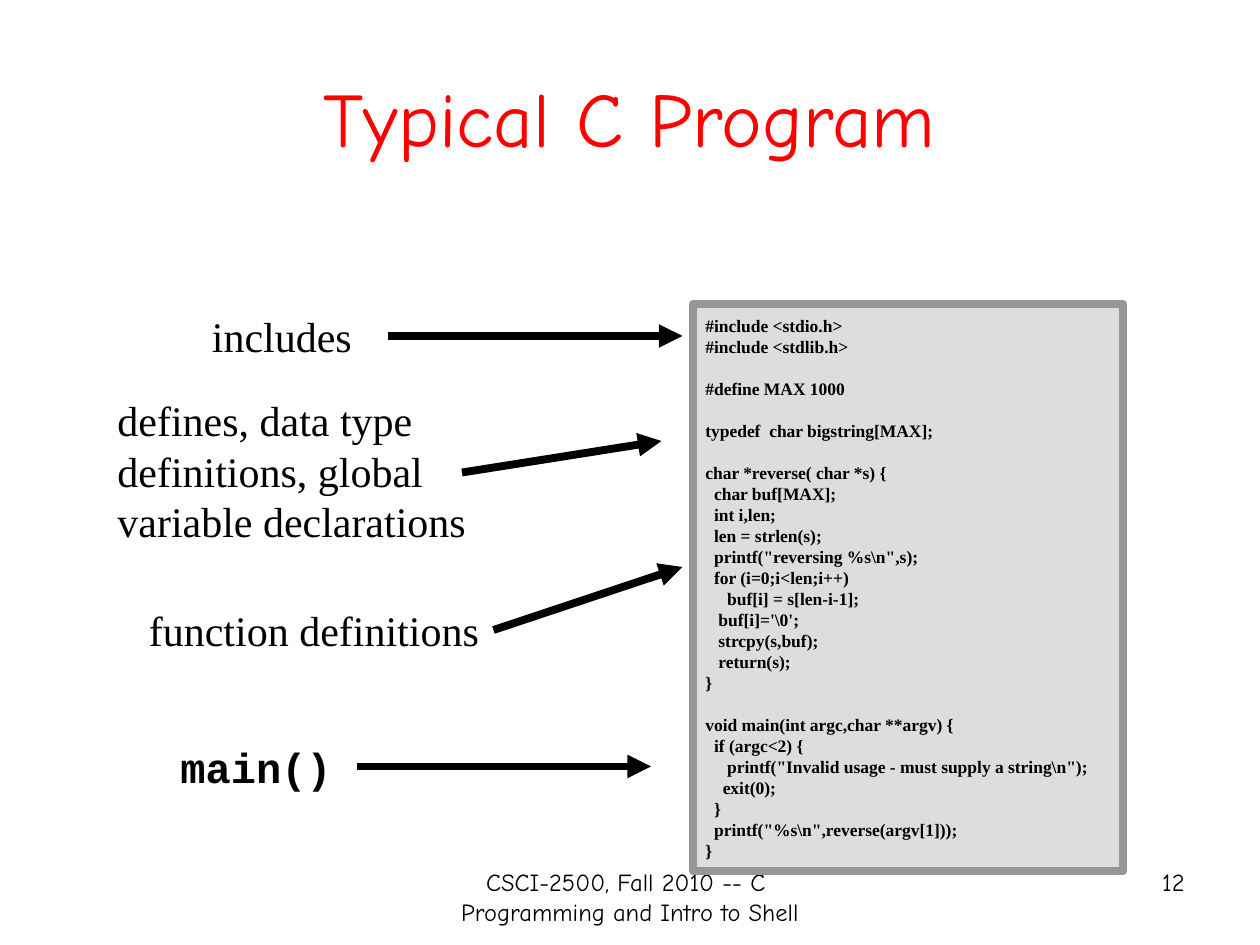
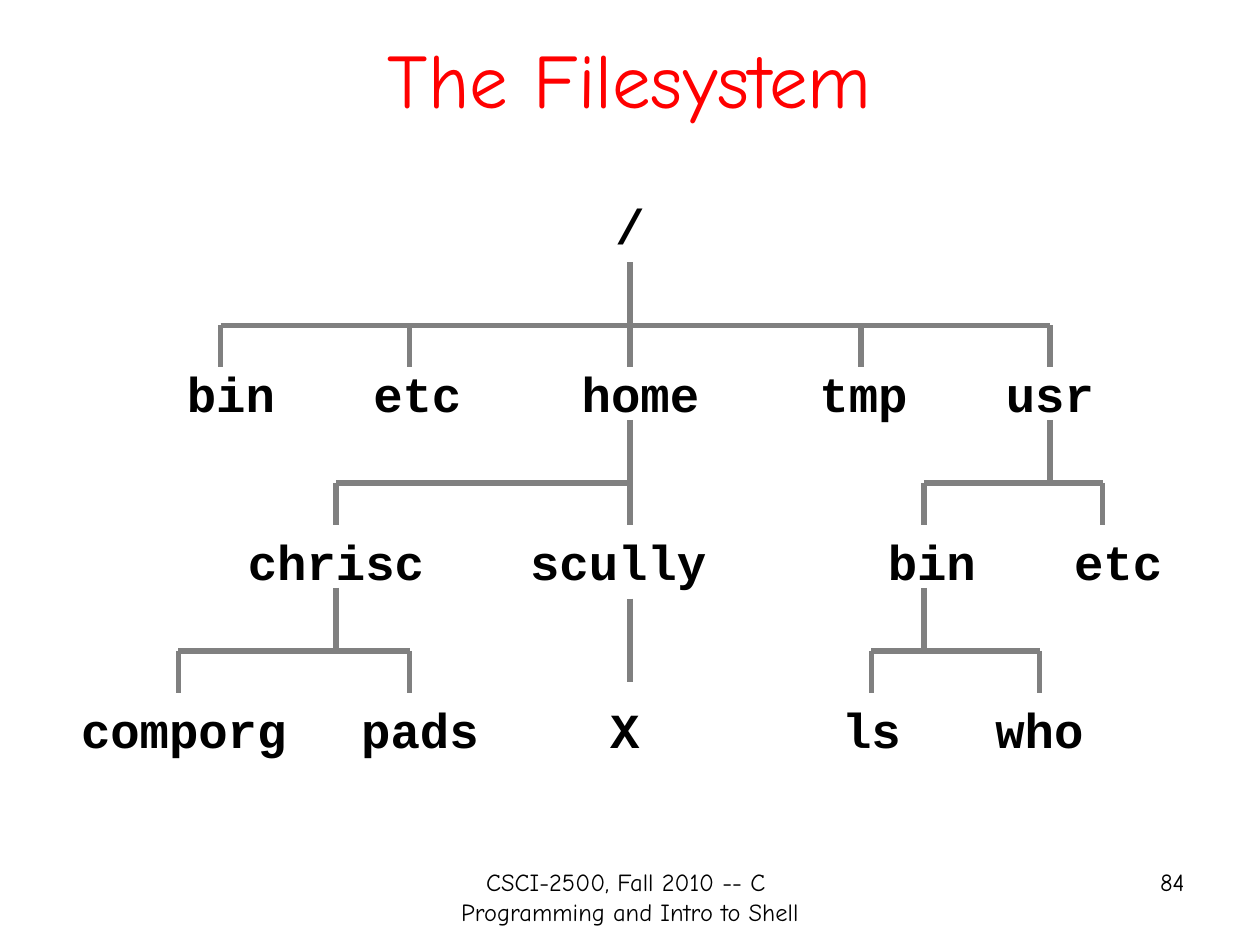
from dataclasses import dataclass

from lxml import etree
from pptx import Presentation
from pptx.dml.color import RGBColor
from pptx.enum.shapes import MSO_CONNECTOR, MSO_SHAPE
from pptx.enum.text import MSO_ANCHOR, MSO_AUTO_SIZE, PP_ALIGN
from pptx.oxml.ns import qn
from pptx.util import Inches, Pt

LEFT, CENTER, RIGHT = PP_ALIGN.LEFT, PP_ALIGN.CENTER, PP_ALIGN.RIGHT
TOP, MIDDLE = MSO_ANCHOR.TOP, MSO_ANCHOR.MIDDLE
GROW = MSO_AUTO_SIZE.SHAPE_TO_FIT_TEXT
STRAIGHT, RECTANGLE = MSO_CONNECTOR.STRAIGHT, MSO_SHAPE.RECTANGLE

# All places are (left, top, width, height) or (x, y) on a grid of 12 cells per inch.
CELLS_PER_INCH = 12
SLIDE_SIZE = (120, 90)

FOOTER = "CSCI-2500, Fall 2010 -- C  Programming and Intro to Shell"
FOOTER_AREA = (41, 82, 38, 6.25)
NUMBER_AREA = (86, 82, 28, 6.25)

PROGRAM = {"title": "Typical C Program", "title_area": (6, 3.6, 108, 15), "number": "12"}
CODE_AREA = (66, 29, 41, 54)
CODE = r"""#include <stdio.h>
#include <stdlib.h>

#define MAX 1000

typedef  char bigstring[MAX];

char *reverse( char *s) {
  char buf[MAX];
  int i,len;
  len = strlen(s);
  printf("reversing %s\n",s);
  for (i=0;i<len;i++)
     buf[i] = s[len-i-1];
   buf[i]='\0';
   strcpy(s,buf);
   return(s);
}

void main(int argc,char **argv) {
  if (argc<2) {
     printf("Invalid usage - must supply a string\n");
    exit(0);
  }
  printf("%s\n",reverse(argv[1]));
}"""
# text, style, label area, arrow start, arrow end
PROGRAM_PARTS = [
    ("includes", "label", (19, 29, 32, 6), (37, 32), (65, 32)),
    ("defines, data type definitions, global variable declarations", "label",
     (10, 37, 39, 15.6), (44, 45), (63, 42)),
    ("function definitions", "label", (13, 57, 34, 6), (47, 60), (65, 54)),
    ("main()", "main", (16, 70, 32, 6), (34, 73), (62, 73)),
]

FILESYSTEM = {"title": "The Filesystem", "title_area": (9, 3.7, 102, 7.5), "number": "84"}
# name, column of its line, label left, label width, children
TREE = ("/", 60, 56, 8, [
    ("bin", 21, 16.5, 11, []),
    ("etc", 39, 34.25, 11, []),
    ("home", 60, 52, 18, [
        ("chrisc", 32, 20, 24, [
            ("comporg", 17, 4, 27, []),
            ("pads", 39, 31, 18, []),
        ]),
        ("scully", 60, 47, 23.75, [("X", 60, 54, 11, [])]),
    ]),
    ("tmp", 82, 76.75, 11, []),
    ("usr", 100, 94.5, 11, [
        ("bin", 88, 83.25, 11, [
            ("ls", 83, 74, 18, []),
            ("who", 99, 90, 18, []),
        ]),
        ("etc", 105, 101, 11, []),
    ]),
])
LABEL_TOP, LEVEL_STEP, LABEL_HEIGHT = 18, 16, 6.8
BAR_ROWS = (31, 46, 62)
STEM, DROP = 6, 4


@dataclass(frozen=True)
class Theme:
    black: str = "000000"
    title_red: str = "FF0000"
    code_fill: str = "DDDDDD"
    code_edge: str = "969696"
    tree_line: str = "808080"
    thick: float = 4.5
    medium: float = 3
    code_gap: float = 12
    display: str = "Comic Neue"
    serif: str = "Times New Roman"
    mono: str = "Courier New"


THEME = Theme()
STYLES = {
    "title": {"name": THEME.display, "size": Pt(44)},
    "footer": {"name": THEME.display, "size": Pt(14)},
    "label": {"name": THEME.serif, "size": Pt(24)},
    "main": {"name": THEME.mono, "size": Pt(24), "bold": True},
    "code": {"name": THEME.serif, "size": Pt(10), "bold": True},
    "node": {"name": THEME.mono, "size": Pt(28), "bold": True},
}


def grid(*cells):
    return [Inches(cell / CELLS_PER_INCH) for cell in cells]


def rgb(color):
    return RGBColor.from_string(color)


def write(para, text, style, color=THEME.black, align=LEFT, before=0):
    para.alignment = align
    para.space_before = Pt(before)
    span = para.add_run()
    span.text = text
    for key, value in STYLES[style].items():
        setattr(span.font, key, value)
    span.font.color.rgb = rgb(color)


def add_text(shapes, area, text, style, anchor=TOP, grow=False, **format_values):
    frame = shapes.add_textbox(*grid(*area)).text_frame
    frame.word_wrap = True
    frame.vertical_anchor = anchor
    if grow:
        frame.auto_size = GROW
    write(frame.paragraphs[0], text, style, **format_values)


def add_line(shapes, start, end, color, width, arrow=False):
    line = shapes.add_connector(STRAIGHT, *grid(*start, *end))
    line.line.color.rgb = rgb(color)
    line.line.width = Pt(width)
    properties = line._element.spPr
    if arrow:
        outline = properties.find(qn("a:ln"))
        etree.SubElement(outline, qn("a:tailEnd"), type="triangle")
    etree.SubElement(properties, qn("a:effectLst"))


def add_page(deck, title, title_area, number):
    """Add a blank slide with the shared footer, page number and title."""
    shapes = deck.slides.add_slide(deck.slide_layouts[6]).shapes
    add_text(shapes, FOOTER_AREA, FOOTER, "footer", align=CENTER)
    add_text(shapes, NUMBER_AREA, number, "footer", align=RIGHT)
    add_text(shapes, title_area, title, "title", anchor=MIDDLE,
             color=THEME.title_red, align=CENTER)
    return shapes


def add_code(shapes):
    """Draw the listing; an empty line becomes space above the next one."""
    box = shapes.add_shape(RECTANGLE, *grid(*CODE_AREA))
    box.shadow.inherit = False
    box.fill.solid()
    box.fill.fore_color.rgb = rgb(THEME.code_fill)
    box.line.color.rgb = rgb(THEME.code_edge)
    box.line.width = Pt(THEME.thick)
    frame = box.text_frame
    frame.word_wrap = False
    frame.vertical_anchor = MIDDLE
    para = frame.paragraphs[0]
    for block_index, block in enumerate(CODE.split("\n\n")):
        for line_index, line in enumerate(block.split("\n")):
            if block_index or line_index:
                para = frame.add_paragraph()
            starts_block = block_index > 0 and line_index == 0
            write(para, line, "code", before=THEME.code_gap if starts_block else 0)


def add_labels(shapes, node, level=0):
    name, _, left, width, children = node
    area = (left, LABEL_TOP + level * LEVEL_STEP, width, LABEL_HEIGHT)
    add_text(shapes, area, name, "node", grow=True, align=CENTER, before=17.5)
    for child in children:
        add_labels(shapes, child, level + 1)


def branch_lines(node, level=0):
    """Yield the start and end of each line below a node."""
    _, column, _, _, children = node
    if not children:
        return
    bar = BAR_ROWS[level]
    columns = [child[1] for child in children]
    if len(children) == 1:
        yield (column, bar - STEM + 1), (column, bar + DROP - 1)
    else:
        yield (column, bar - STEM), (column, bar)
        yield (min(columns), bar), (max(columns), bar)
        for child_column in columns:
            yield (child_column, bar), (child_column, bar + DROP)
    for child in children:
        yield from branch_lines(child, level + 1)


def main():
    deck = Presentation()
    deck.slide_width, deck.slide_height = grid(*SLIDE_SIZE)

    shapes = add_page(deck, **PROGRAM)
    add_code(shapes)
    for text, style, area, start, end in PROGRAM_PARTS:
        add_text(shapes, area, text, style, grow=True, before=15)
        add_line(shapes, start, end, THEME.black, THEME.thick, arrow=True)

    tree = add_page(deck, **FILESYSTEM).add_group_shape().shapes
    add_labels(tree, TREE)
    for start, end in branch_lines(TREE):
        add_line(tree, start, end, THEME.tree_line, THEME.medium)

    deck.save("out.pptx")


if __name__ == "__main__":
    main()
